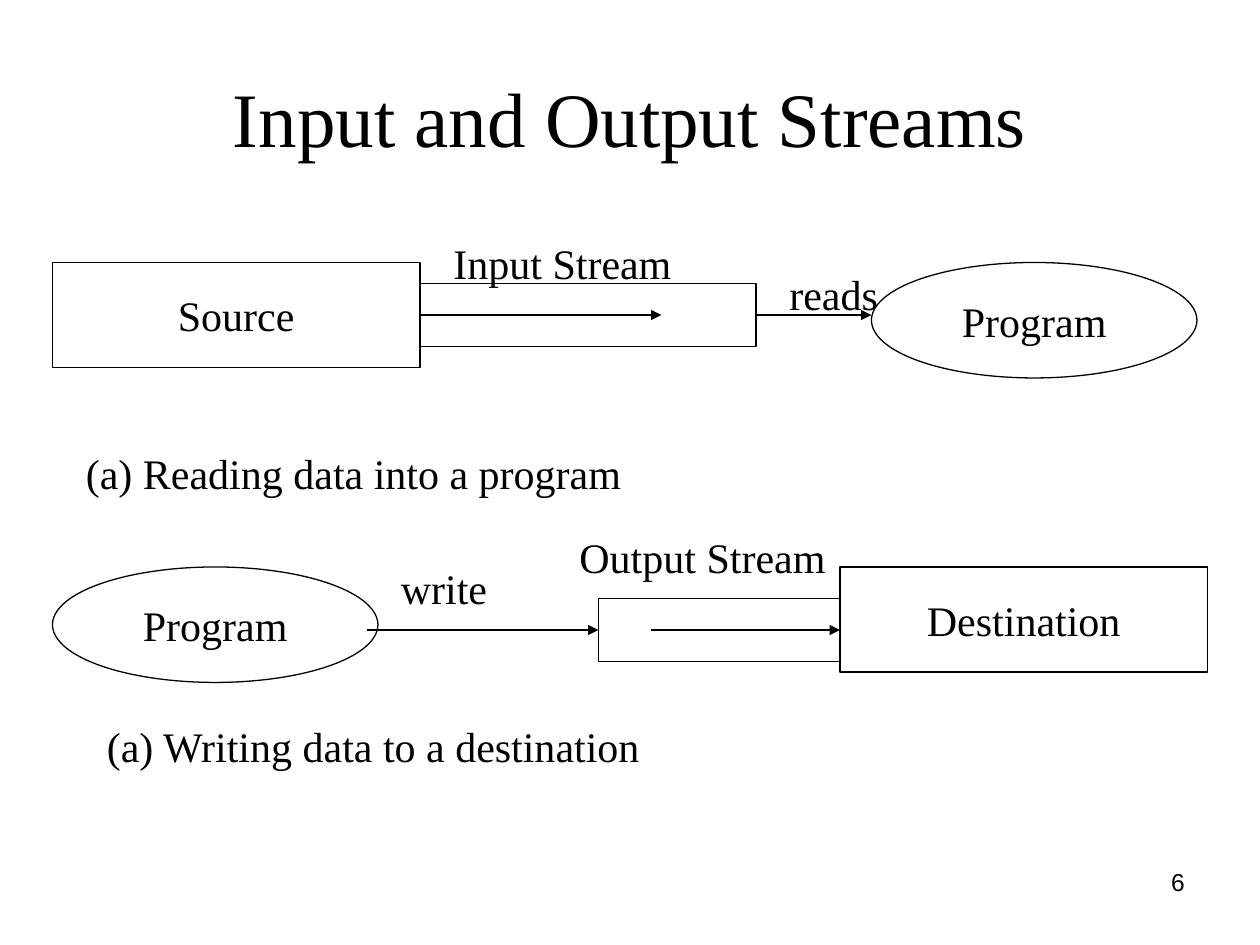
from lxml import etree
from pptx import Presentation, util as u
from pptx.dml.color import RGBColor
from pptx.enum import shapes, text
from pptx.oxml.ns import qn

COLORS = {"ink": "000000", "paper": "FFFFFF"}
COLUMNS, ROWS = 120, 90
CELL = u.Inches(10) // COLUMNS
RECTANGLE = shapes.MSO_SHAPE.RECTANGLE
ELLIPSE = shapes.MSO_SHAPE.OVAL
TOP, LEFT, BOTTOM, RIGHT = range(4)
SERIF = {"name": "Times New Roman", "size": u.Pt(24)}
CENTERED = {"alignment": text.PP_ALIGN.CENTER}


def grid(*cells):
    """Turn columns and rows of the grid into lengths."""
    return [round(cell * CELL) for cell in cells]


def color(name):
    return RGBColor.from_string(COLORS[name])


def apply(target, values):
    for name, value in values.items():
        setattr(target, name, value)


def write(shape, words, font=SERIF, alignment=text.PP_ALIGN.LEFT,
          anchor=text.MSO_ANCHOR.TOP):
    apply(shape.text_frame, {"word_wrap": True, "vertical_anchor": anchor})
    paragraph = shape.text_frame.paragraphs[0]
    paragraph.alignment = alignment
    run = paragraph.add_run()
    run.text = words
    apply(run.font, font)
    run.font.color.rgb = color("ink")


def add_label(slide, words, place, **style):
    write(slide.shapes.add_textbox(*grid(*place)), words, **style)


def outline(line):
    line.color.rgb = color("ink")
    line.width = u.Pt(0.75)


def add_node(slide, kind, place, words=None):
    shape = slide.shapes.add_shape(kind, *grid(*place))
    shape.shadow.inherit = False
    shape.fill.solid()
    shape.fill.fore_color.rgb = color("paper")
    outline(shape.line)
    if words:
        write(shape, words, anchor=text.MSO_ANCHOR.MIDDLE, **CENTERED)
    return shape


def add_arrow(slide, row, start, end, begin=None, finish=None):
    """Draw a level arrow; begin and finish are (shape, side) joints."""
    arrow = slide.shapes.add_connector(
        shapes.MSO_CONNECTOR.STRAIGHT, *grid(start, row, end, row))
    outline(arrow.line)
    line = arrow.line._get_or_add_ln()
    etree.SubElement(line, qn("a:tailEnd"), type="triangle")
    etree.SubElement(arrow._element.spPr, qn("a:effectLst"))
    if begin:
        arrow.begin_connect(*begin)
    if finish:
        arrow.end_connect(*finish)


def add_reading(slide):
    source = add_node(slide, RECTANGLE, (5, 25, 35, 10), "Source")
    stream = add_node(slide, RECTANGLE, (40, 27, 32, 6))
    add_arrow(slide, 30, 72, 83, begin=(stream, RIGHT))
    add_node(slide, ELLIPSE, (83, 25, 31, 11), "Program")
    add_arrow(slide, 30, 40, 63, begin=(source, RIGHT))
    add_label(slide, "Input Stream", (42, 22, 28, 6))
    add_label(slide, "reads", (74, 25, 12, 6))
    add_label(slide, "(a) Reading data into a program", (7, 42, 105, 6))


def add_writing(slide):
    add_node(slide, ELLIPSE, (5, 54, 31, 11), "Program")
    add_node(slide, RECTANGLE, (80, 54, 35, 10), "Destination")
    stream = add_node(slide, RECTANGLE, (57, 57, 23, 6))
    add_arrow(slide, 60, 62, 80, finish=(stream, RIGHT))
    add_arrow(slide, 60, 35, 57, finish=(stream, LEFT))
    add_label(slide, "write", (37, 53, 18, 6))
    add_label(slide, "Output Stream", (54, 50, 27, 6))
    add_label(slide, "(a) Writing data to a destination", (9, 68, 105, 6))


def main():
    presentation = Presentation()
    width, height = grid(COLUMNS, ROWS)
    apply(presentation, {"slide_width": width, "slide_height": height})
    slide = presentation.slides.add_slide(presentation.slide_layouts[6])
    add_label(slide, "6", (86, 82, 28, 6.25),
              font={"name": "Arial", "size": u.Pt(14)},
              alignment=text.PP_ALIGN.RIGHT)
    add_label(slide, "Input and Output Streams", (6, 3.6, 108, 15),
              font={**SERIF, "size": u.Pt(44)},
              anchor=text.MSO_ANCHOR.MIDDLE, **CENTERED)
    add_reading(slide)
    add_writing(slide)
    presentation.save("out.pptx")


if __name__ == "__main__":
    main()
